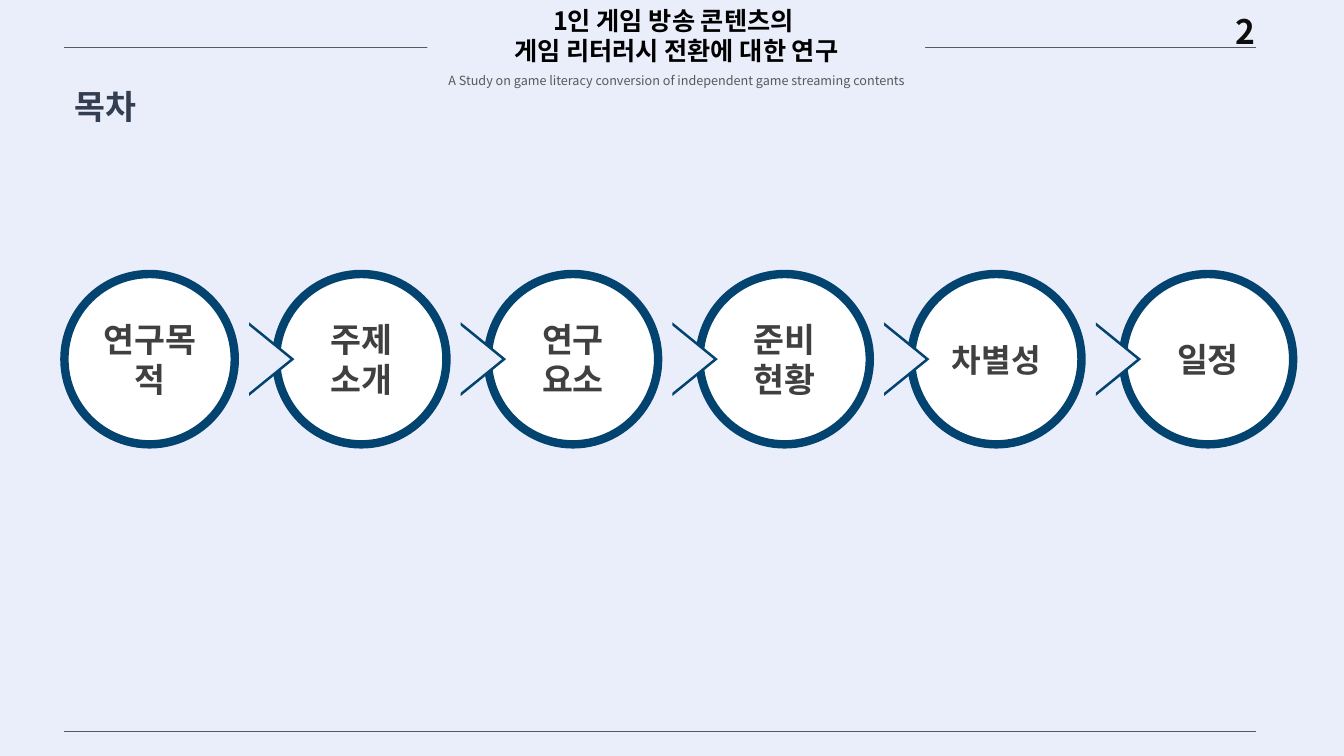
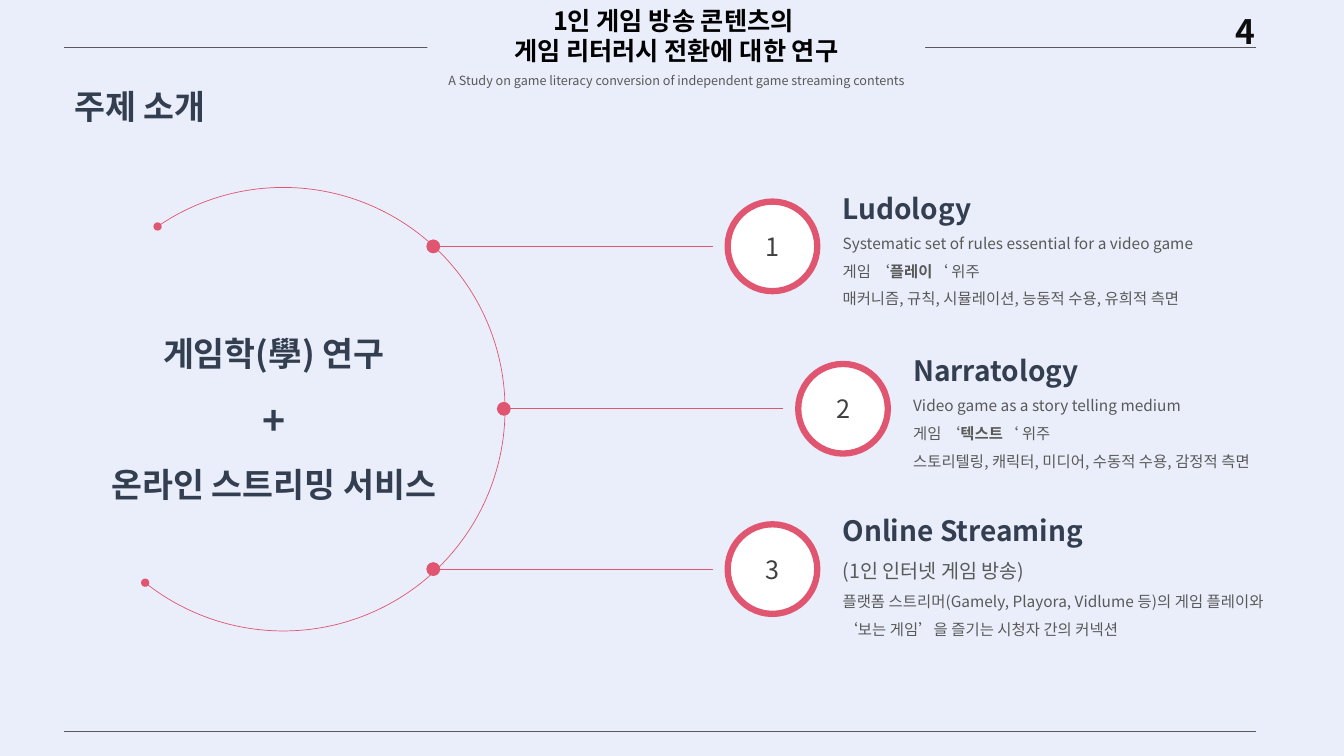
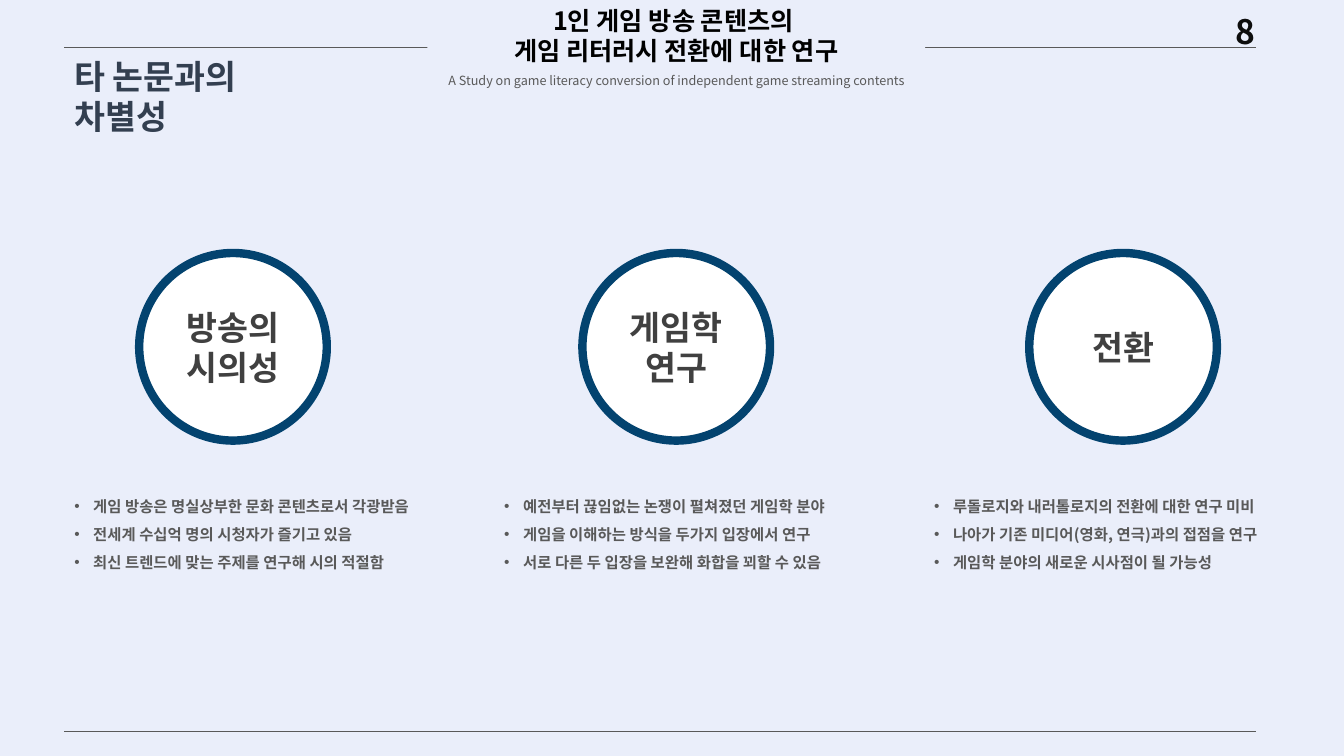
from lxml import etree
from pptx import Presentation
from pptx.dml.color import RGBColor
from pptx.enum.shapes import MSO_CONNECTOR, MSO_SHAPE
from pptx.enum.text import MSO_ANCHOR, PP_ALIGN
from pptx.oxml.ns import qn
from pptx.util import Pt

OVAL, ARC, RECT = MSO_SHAPE.OVAL, MSO_SHAPE.ARC, MSO_SHAPE.RECTANGLE
TRIANGLE = MSO_SHAPE.ISOSCELES_TRIANGLE
STRAIGHT = MSO_CONNECTOR.STRAIGHT
TOP, MIDDLE = MSO_ANCHOR.TOP, MSO_ANCHOR.MIDDLE
LEFT, CENTER = PP_ALIGN.LEFT, PP_ALIGN.CENTER

FONT = "Noto Sans CJK KR"
PAPER, WHITE, BLACK = "EAEEFA", "FFFFFF", "000000"
NAVY, ROSE = "03436F", "E05670"
HEADING, BODY, RING_TEXT, NUMBER, RULE = "333F50", "595959", "404040", "0D0D0D", "595959"
MARGIN, RIGHT_EDGE = 46, 897


def color(hex_text):
    return RGBColor.from_string(hex_text)


def add_xml(parent, tag, **attributes):
    return etree.SubElement(parent, qn(tag), attributes)


# Text
def add_para(frame, text, size, hex_text, bold=False, align=LEFT, spacing=None, bullet=False):
    """Text is a string, or a list of (string, bold) spans."""
    para = frame.paragraphs[0]
    if para.runs:
        para = frame.add_paragraph()
    para.alignment = align
    if spacing:
        para.line_spacing = spacing
    if bullet:
        properties = para._p.get_or_add_pPr()
        properties.set("marL", str(Pt(13.5)))
        properties.set("indent", str(-Pt(13.5)))
        add_xml(properties, "a:buFont", typeface="Arial")
        add_xml(properties, "a:buChar", char="•")
    for words, is_bold in [(text, bold)] if isinstance(text, str) else text:
        span = para.add_run()
        span.text = words
        span.font.size = Pt(size)
        span.font.bold = is_bold
        span.font.color.rgb = color(hex_text)
        span.font.name = FONT
        add_xml(span.font._element, "a:ea", typeface=FONT)


def add_text(page, left, top, width, height, anchor=TOP):
    box = page.shapes.add_textbox(Pt(left), Pt(top), Pt(width), Pt(height))
    box.text_frame.word_wrap = True
    box.text_frame.vertical_anchor = anchor
    return box.text_frame


# Shapes and lines
def add_shape(page, kind, left, top, width, height, fill=None, line=None, weight=0):
    shape = page.shapes.add_shape(kind, Pt(left), Pt(top), Pt(width), Pt(height))
    shape.shadow.inherit = False
    if fill:
        shape.fill.solid()
        shape.fill.fore_color.rgb = color(fill)
    else:
        shape.fill.background()
    if line:
        shape.line.color.rgb = color(line)
        shape.line.width = Pt(weight)
    else:
        shape.line.fill.background()
    shape.text_frame.word_wrap = True
    return shape


def add_dots(shape, ends, size):
    outline = shape.element.spPr.find(qn("a:ln"))
    for end in ends:
        add_xml(outline, end, type="oval", w=size, len=size)


def add_line(page, left, right, y, hex_text):
    line = page.shapes.add_connector(STRAIGHT, Pt(left), Pt(y), Pt(right), Pt(y))
    line.line.color.rgb = color(hex_text)
    line.line.width = Pt(0.5)
    add_xml(line.element.spPr, "a:effectLst")
    return line


def add_ring(page, left, top, diameter, lines, size=24, bold=True, line=NAVY, weight=6):
    ring = add_shape(page, OVAL, left, top, diameter, diameter, WHITE, line, weight)
    ring.text_frame.vertical_anchor = MIDDLE
    for words in lines:
        add_para(ring.text_frame, words, size, RING_TEXT, bold, CENTER)


# Parts shared by every page
def add_page(deck, number):
    page = deck.slides.add_slide(deck.slide_layouts[6])
    frame = add_text(page, 831.6, 4.3, 116, 29)
    add_para(frame, number, 24, NUMBER, True, CENTER)
    for y in (33.8, 522.5):
        add_line(page, MARGIN, RIGHT_EDGE, y, RULE)
    frame = add_shape(page, RECT, 305.2, 0, 355.6, 67, PAPER).text_frame
    frame.vertical_anchor = TOP
    for words in ("1인 게임 방송 콘텐츠의 ", "게임 리터러시 전환에 대한 연구"):
        add_para(frame, words, 18, BLACK, True, CENTER)
    add_para(frame, "A Study on game literacy conversion of independent game streaming contents",
             9, BODY, False, CENTER, 1.5)
    return page


def add_heading(page, top, height, lines, spacing=None):
    frame = add_text(page, MARGIN, top, 240, height, MIDDLE)
    for words in lines:
        add_para(frame, words, 24, HEADING, True, spacing=spacing)


# Contents page
def add_chevron(page, center_x, center_y):
    width, height = 52.6, 32.4
    chevron = add_shape(page, TRIANGLE, center_x - width / 2, center_y - height / 2,
                        width, height, PAPER)
    chevron.rotation = 90
    effects = chevron.element.spPr.find(qn("a:effectLst"))
    shadow = add_xml(effects, "a:outerShdw", blurRad="0", dist=str(Pt(3)), dir="0",
                     algn="l", rotWithShape="0")
    add_xml(shadow, "a:srgbClr", val=NAVY)


def add_steps(page, left, top, steps):
    diameter, pitch = 121.7, 151.2
    for index, (lines, size) in enumerate(steps):
        x = left + index * pitch
        add_ring(page, x, top, diameter, lines, size)
        if index:
            add_chevron(page, x - 6.1, top + diameter / 2)


# Topic page
def add_topic_arc(page, left, top, diameter):
    arc = add_shape(page, ARC, left, top, diameter, diameter, line=ROSE, weight=0.5)
    for index, degrees in enumerate((235.475, 128.52)):
        arc.adjustments[index] = degrees * 0.6
    add_dots(arc, ("a:headEnd", "a:tailEnd"), "med")
    frame = add_text(page, left - 8, top + 85.7, 319, 145.4)
    for words, size in (("게임학(學) 연구", 24), ("+", 28), ("온라인 스트리밍 서비스", 24)):
        add_para(frame, words, size, HEADING, True, CENTER, 1.5)


def add_topic(page, left, top, number, title, details):
    diameter = 64
    line = add_line(page, left - 210.3, left - 10.8, top + diameter / 2, ROSE)
    add_dots(line, ("a:headEnd",), "lg")
    add_ring(page, left, top, diameter, [number], 18, False, ROSE, 4.5)
    frame = add_text(page, left + 75, top - 23, 330, 104)
    add_para(frame, title, 20, HEADING, True, spacing=1.5)
    for text, size in details:
        add_para(frame, text, size, BODY, spacing=1.5)


# Differences page
def add_difference(page, ring_left, list_left, lines, points):
    add_ring(page, ring_left, 180.7, 134, lines)
    frame = add_text(page, list_left, 345, 285, 67)
    for words in points:
        add_para(frame, words, 11, BODY, True, spacing=1.5, bullet=True)


def build_contents(deck):
    page = add_page(deck, "2")
    add_heading(page, 43.2, 51, ["목차"], 1.5)
    add_steps(page, MARGIN, 195.7, [
        (["연구목적"], 24), (["주제 소개"], 24), (["연구", "요소"], 24),
        (["준비", "현황"], 24), (["차별성"], 23), (["일정"], 24)])


def build_topics(deck):
    page = add_page(deck, "4")
    add_heading(page, 43.2, 51, ["주제 소개"], 1.5)
    add_topic_arc(page, 44, 133.9, 316.8)
    add_topic(page, 519.8, 144, "1", "Ludology", [
        ("Systematic set of rules essential for a video game", 11),
        ([("게임 ‘", False), ("플레이", True), ("‘ 위주", False)], 11),
        ("매커니즘, 규칙, 시뮬레이션, 능동적 수용, 유희적 측면", 11)])
    add_topic(page, 570.2, 260, "2", "Narratology", [
        ("Video game as a story telling medium", 11),
        ([("게임 ‘", False), ("텍스트", True), ("‘ 위주", False)], 11),
        ("스토리텔링, 캐릭터, 미디어, 수동적 수용, 감정적 측면", 11)])
    add_topic(page, 519.8, 374.5, "3", "Online Streaming", [
        ("(1인 인터넷 게임 방송)", 14),
        ("플랫폼 스트리머(Gamely, Playora, Vidlume 등)의 게임 플레이와", 11),
        ("‘보는 게임’을 즐기는 시청자 간의 커넥션", 11)])


def build_differences(deck):
    page = add_page(deck, "8")
    add_heading(page, 36, 65.4, ["타 논문과의", "차별성"])
    columns = [
        (99.4, ["방송의", "시의성"], [
            "게임 방송은 명실상부한 문화 콘텐츠로서 각광받음",
            "전세계 수십억 명의 시청자가 즐기고 있음",
            "최신 트렌드에 맞는 주제를 연구해 시의 적절함"]),
        (416, ["게임학 연구"], [
            "예전부터 끊임없는 논쟁이 펼쳐졌던 게임학 분야",
            "게임을 이해하는 방식을 두가지 입장에서 연구",
            "서로 다른 두 입장을 보완해 화합을 꾀할 수 있음"]),
        (735.2, ["전환"], [
            "루돌로지와 내러톨로지의 전환에 대한 연구 미비",
            "나아가 기존 미디어(영화, 연극)과의 접점을 연구",
            "게임학 분야의 새로운 시사점이 될 가능성"])]
    for index, (ring_left, lines, points) in enumerate(columns):
        add_difference(page, ring_left, MARGIN + index * 307.1, lines, points)


def main():
    deck = Presentation()
    deck.slide_width, deck.slide_height = Pt(960), Pt(540)
    background = deck.slide_master.background.fill
    background.solid()
    background.fore_color.rgb = color(PAPER)
    build_contents(deck)
    build_topics(deck)
    build_differences(deck)
    deck.save("out.pptx")


if __name__ == "__main__":
    main()
